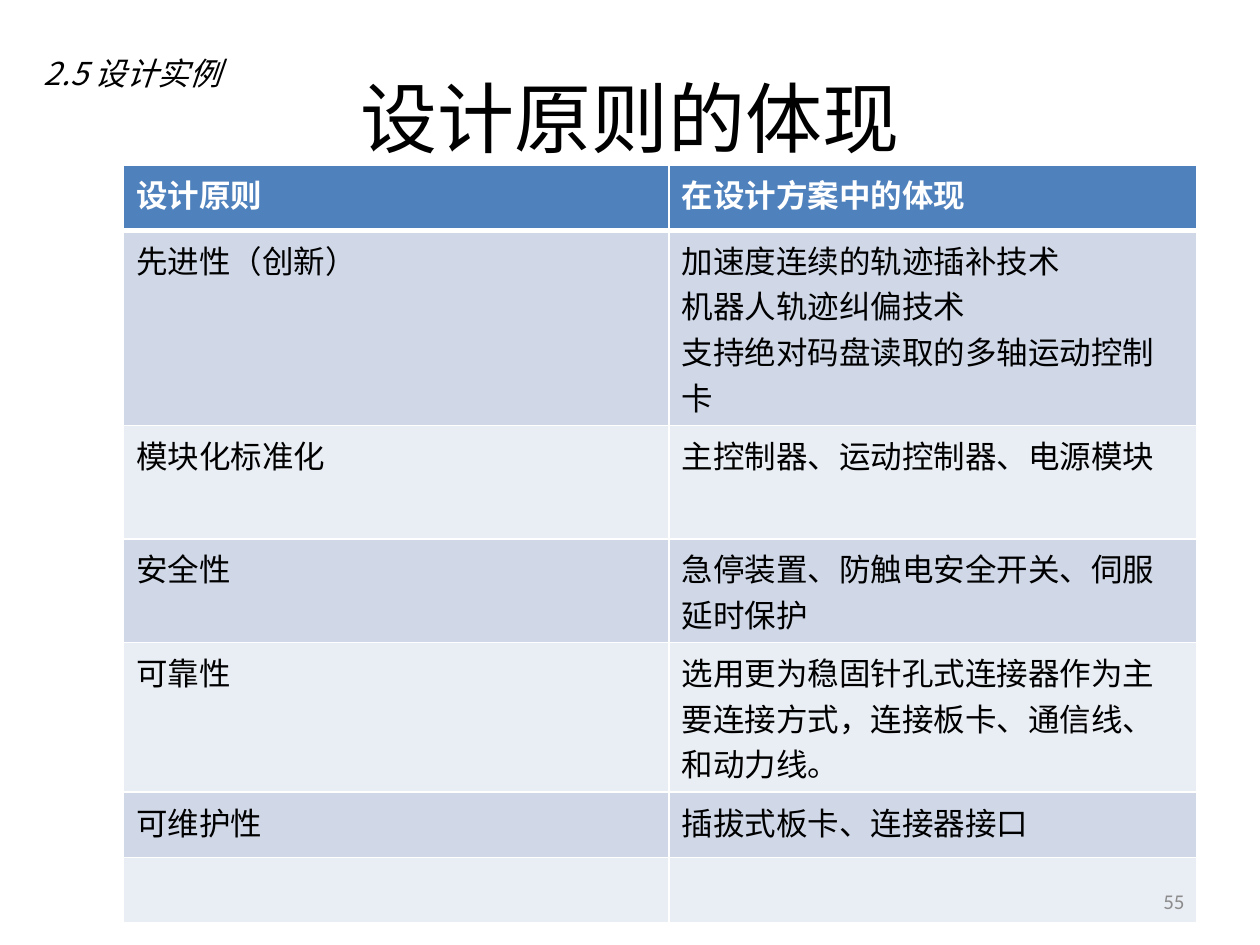
from dataclasses import dataclass

from lxml.etree import SubElement as Sub
from pptx import Presentation
from pptx.dml.color import RGBColor as RGB
from pptx.enum.text import MSO_ANCHOR as Anchor, PP_ALIGN as Align
from pptx.oxml.ns import qn
from pptx.util import Inches, Pt


@dataclass(frozen=True)
class Theme:
    """Colours, fonts and type sizes of the slide."""
    text: str = "000000"
    white: str = "FFFFFF"
    muted: str = "8C8C8C"
    header: str = "4F81BD"
    bands: tuple = ("D0D8E8", "E9EDF4")
    font: str = "Calibri"
    cjk: str = "Noto Sans CJK SC"
    title: int = 44
    body: int = 18
    small: int = 12


T = Theme()
COLS = (4.33, 4.19)
ROWS = (0.52, 0.9, 0.9, 0.52, 0.9, 0.52, 0.52)
CELLS = (
    ("设计原则", "在设计方案中的体现"),
    ("先进性（创新）",
     "加速度连续的轨迹插补技术\n机器人轨迹纠偏技术\n支持绝对码盘读取的多轴运动控制卡"),
    ("模块化标准化", "主控制器、运动控制器、电源模块"),
    ("安全性", "急停装置、防触电安全开关、伺服延时保护"),
    ("可靠性", "选用更为稳固针孔式连接器作为主要连接方式，连接板卡、通信线、和动力线。"),
    ("可维护性", "插拔式板卡、连接器接口"),
    ("", ""),
)


def write(tf, text, size=T.body, color=T.text, font=T.font, bold=False,
          italic=False, align=Align.LEFT):
    """Fill a text frame with one formatted paragraph per line."""
    tf.word_wrap = True
    for i, line in enumerate(text.split("\n")):
        p = tf.paragraphs[0] if i == 0 else tf.add_paragraph()
        p.alignment = align
        p.font.size = Pt(size)
        if not line:
            continue
        r = p.add_run()
        r.text = line
        f = r.font
        f.size, f.name, f.bold, f.italic = Pt(size), font, bold, italic
        f.color.rgb = RGB.from_string(color)
        Sub(r._r.get_or_add_rPr(), qn("a:ea"), typeface=T.cjk)


def add_title(slide, box, text):
    """Place and format the title placeholder."""
    sp = slide.shapes.title
    sp.left, sp.top, sp.width, sp.height = map(Inches, box)
    sp.text_frame.vertical_anchor = Anchor.MIDDLE
    write(sp.text_frame, text, size=T.title, align=Align.CENTER)


def add_label(slide, box, text, **fmt):
    """Add a vertically centred line of text."""
    tf = slide.shapes.add_textbox(*map(Inches, box)).text_frame
    tf.vertical_anchor = Anchor.MIDDLE
    write(tf, text, **fmt)


def style_cell(cell, fill, is_header):
    """Give a cell its white rules and its fill."""
    tc_pr = cell._tc.get_or_add_tcPr()
    for side in "LRTB":
        width = Pt(3 if is_header and side == "B" else 1)
        ln = Sub(tc_pr, qn(f"a:ln{side}"), w=str(width))
        Sub(Sub(ln, qn("a:solidFill")), qn("a:srgbClr"), val=T.white)
    cell.fill.solid()
    cell.fill.fore_color.rgb = RGB.from_string(fill)


def add_principles(slide, left, top):
    """Add the banded table of design principles."""
    frame = slide.shapes.add_table(len(ROWS), len(COLS), Inches(left), Inches(top),
                                   Inches(sum(COLS)), Inches(sum(ROWS)))
    table = frame.table
    for col, width in zip(table.columns, COLS):
        col.width = Inches(width)
    for i, (row, height, texts) in enumerate(zip(table.rows, ROWS, CELLS)):
        row.height = Inches(height)
        is_header = i == 0
        fill = T.header if is_header else T.bands[(i - 1) % 2]
        for cell, text in zip(row.cells, texts):
            style_cell(cell, fill, is_header)
            write(cell.text_frame, text, bold=is_header,
                  color=T.white if is_header else T.text)


def main():
    """Build and save the slide."""
    prs = Presentation()
    prs.slide_width, prs.slide_height = Inches(10), Inches(7.5)
    slide = prs.slides.add_slide(prs.slide_layouts[5])
    add_title(slide, (0.5, 0.3, 9, 1.25), "设计原则的体现")
    add_principles(slide, 0.98, 1.31)
    add_label(slide, (0.25, 0.33, 2.94, 0.5), "2.5 设计实例", font=T.cjk, italic=True)
    add_label(slide, (7.17, 6.95, 2.33, 0.4), "55", size=T.small, color=T.muted,
              align=Align.RIGHT)
    prs.save("out.pptx")


if __name__ == "__main__":
    main()
